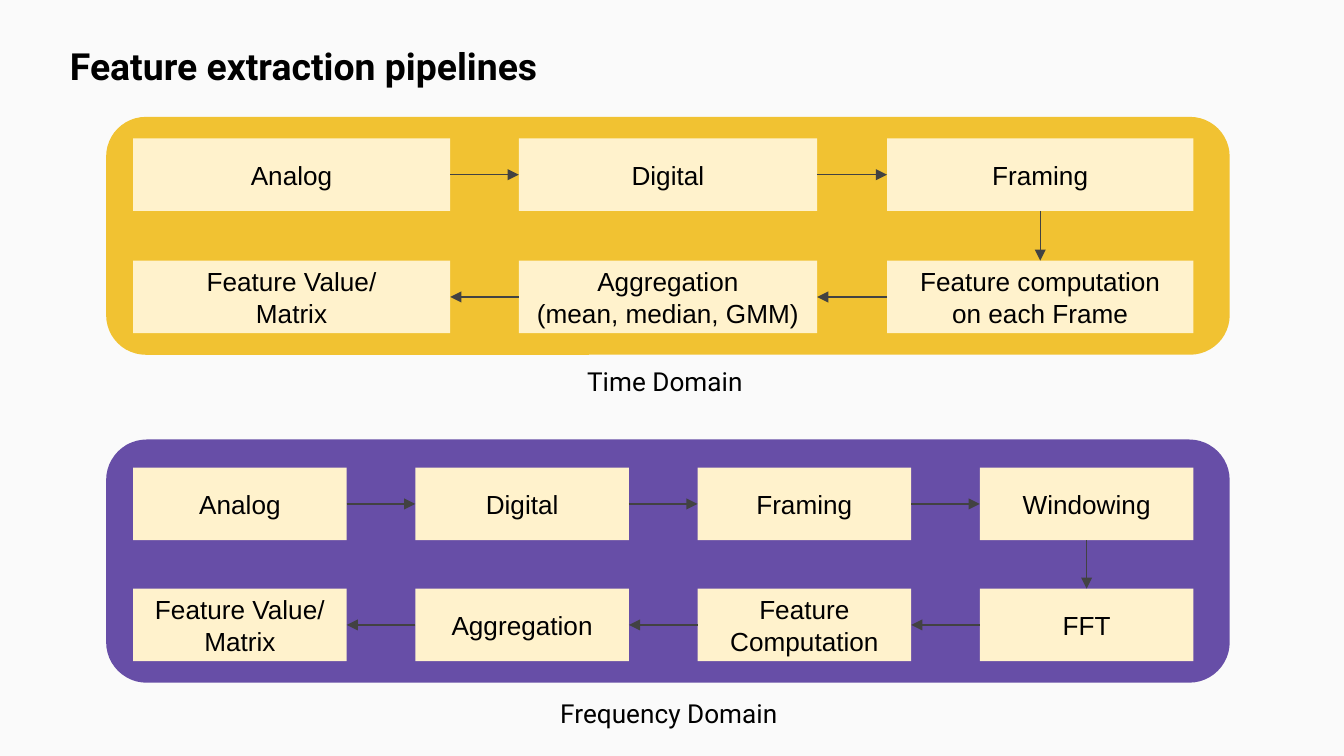
"""Build the slide that compares time and frequency domain feature pipelines."""
from lxml import etree
from pptx import Presentation
from pptx.dml.color import RGBColor
from pptx.enum.shapes import MSO_CONNECTOR, MSO_SHAPE
from pptx.enum.text import MSO_ANCHOR, PP_ALIGN
from pptx.oxml.ns import qn
from pptx.util import Inches, Pt

RECT, ROUNDED = MSO_SHAPE.RECTANGLE, MSO_SHAPE.ROUNDED_RECTANGLE
STRAIGHT = MSO_CONNECTOR.STRAIGHT
LEFT, CENTER = PP_ALIGN.LEFT, PP_ALIGN.CENTER
TOP, MIDDLE = MSO_ANCHOR.TOP, MSO_ANCHOR.MIDDLE
SITE_TOP, SITE_LEFT, SITE_BOTTOM, SITE_RIGHT = range(4)
BOX_H = 0.54


def paint(fill, color):
    fill.solid()
    fill.fore_color.rgb = RGBColor.from_string(color)


def write(shape, text, font="Arial", size=14, bold=False, align=LEFT, anchor=TOP):
    tf = shape.text_frame
    tf.word_wrap = True
    tf.vertical_anchor = anchor
    tf.margin_left = tf.margin_right = tf.margin_top = tf.margin_bottom = Inches(0.1)
    tf.text = text
    for p in tf.paragraphs:
        p.alignment = align
        for r in p.runs:
            r.font.name, r.font.size, r.font.bold = font, Pt(size), bold
            paint(r.font.fill, "000000")


prs = Presentation()
prs.slide_width, prs.slide_height = Inches(10), Inches(10 * 9 / 16)
s = prs.slides.add_slide(prs.slide_layouts[5])
paint(s.background.fill, "FAFAFA")

title = s.shapes.title
title.left, title.top = Inches(0.42), Inches(0.22)
title.width, title.height = Inches(8.36), Inches(0.54)
write(title, "Feature extraction pipelines", font="Roboto", size=20, bold=True)

pipelines = [
    {"name": "Time Domain", "label": (4.27, 2.62, 1.46), "panel": (0.87, 1.77, "F1C232"),
     "columns": [(0.99, 2.36), (3.86, 2.22), (6.6, 2.28)], "rows": (1.03, 1.94),
     "steps": ["Analog", "Digital", "Framing", "Feature computation\non each Frame",
               "Aggregation\n(mean, median, GMM)", "Feature Value/\nMatrix"]},
    {"name": "Frequency Domain", "label": (4.07, 5.09, 2.02), "panel": (3.27, 1.81, "674EA7"),
     "columns": [(0.99 + 2.1 * i, 1.59) for i in range(4)], "rows": (3.48, 4.38),
     "steps": ["Analog", "Digital", "Framing", "Windowing", "FFT",
               "Feature\nComputation", "Aggregation", "Feature Value/\nMatrix"]},
]

for pipeline in pipelines:
    top, height, color = pipeline["panel"]
    panel = s.shapes.add_shape(ROUNDED, Inches(0.79), Inches(top), Inches(8.36), Inches(height))
    panel.shadow.inherit = False
    panel.line.fill.background()
    paint(panel.fill, color)

    columns, (upper, lower) = pipeline["columns"], pipeline["rows"]
    places = [(x, upper, w) for x, w in columns] + [(x, lower, w) for x, w in reversed(columns)]
    boxes = []
    for step, (x, y, w) in zip(pipeline["steps"], places):
        box = s.shapes.add_shape(RECT, Inches(x), Inches(y), Inches(w), Inches(BOX_H))
        box.shadow.inherit = False
        box.line.fill.background()
        paint(box.fill, "FFF2CC")
        write(box, step, align=CENTER, anchor=MIDDLE)
        boxes.append(box)

    for i, (start, end) in enumerate(zip(boxes, boxes[1:]), 1):
        if i < len(columns):
            sites = SITE_RIGHT, SITE_LEFT
        elif i == len(columns):
            sites = SITE_BOTTOM, SITE_TOP
        else:
            sites = SITE_LEFT, SITE_RIGHT
        arrow = s.shapes.add_connector(STRAIGHT, 0, 0, 0, 0)
        arrow.begin_connect(start, sites[0])
        arrow.end_connect(end, sites[1])
        arrow.line.width = Pt(0.75)
        paint(arrow.line.fill, "424242")
        etree.SubElement(arrow.get_or_add_ln(), qn("a:tailEnd"), type="triangle")
        etree.SubElement(arrow._element.spPr, qn("a:effectLst"))

    x, y, w = pipeline["label"]
    label = s.shapes.add_textbox(Inches(x), Inches(y), Inches(w), Inches(0.44))
    write(label, pipeline["name"], font="Roboto")

prs.save("out.pptx")
